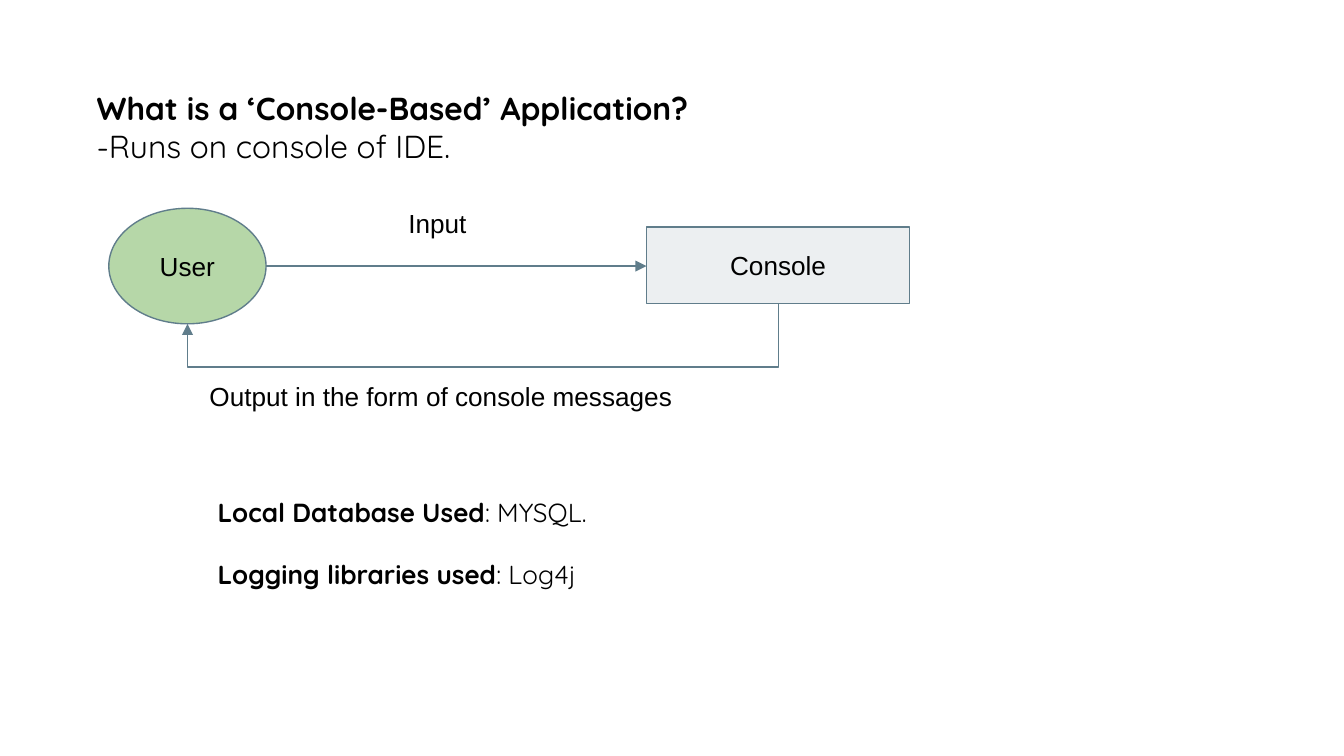
"""Build the slide on console-based applications."""
from lxml import etree
from pptx import Presentation
from pptx.dml.color import RGBColor
from pptx.enum.shapes import MSO_CONNECTOR, MSO_SHAPE
from pptx.enum.text import MSO_ANCHOR, PP_ALIGN
from pptx.oxml.ns import qn
from pptx.util import Inches, Pt

OVAL, RECT = MSO_SHAPE.OVAL, MSO_SHAPE.RECTANGLE
LINE, ELBOW = MSO_CONNECTOR.STRAIGHT, MSO_CONNECTOR.ELBOW
MIDDLE, TOP = MSO_ANCHOR.MIDDLE, MSO_ANCHOR.TOP
CENTER, LEFT = PP_ALIGN.CENTER, PP_ALIGN.LEFT

WIDE = 10
HIGH = WIDE * 9 / 16
COLORS = {"text": "000000", "edge": "607D8B", "user": "B6D7A8", "console": "ECEFF1"}
HEAD = [
    [("What is a ‘Console-Based’ Application?", True)],
    [("-Runs on console of IDE.", False)],
]
TOOLS = [
    [("Local Database Used", True), (": MYSQL.", False)],
    [("Logging libraries used", True), (": Log4j", False)],
]
TEXTS = [
    (HEAD, (0.62, 0.56, 8.52, 0.79), {"font": "Quicksand", "size": 17}),
    (TOOLS, (1.52, 3.59, 7.08, 0.91), {"font": "Quicksand", "size": 14, "gap": 16.5}),
    ([[("Input", False)]], (2.94, 1.44, 2.07, 0.44), {}),
    ([[("Output in the form of console messages", False)]], (1.46, 2.73, 4.39, 0.44), {}),
]
USER = (0.81, 1.55, 1.17, 0.86)
CONSOLE = (4.81, 1.69, 1.96, 0.57)
NODES = [("User", OVAL, USER, "user"), ("Console", RECT, CONSOLE, "console")]
TURN = 2.73


def color(name):
    return RGBColor.from_string(COLORS[name])


def write(shape, paras, font="Arial", size=14, gap=0, align=LEFT, anchor=TOP):
    frame = shape.text_frame
    frame.word_wrap = True
    frame.vertical_anchor = anchor
    frame.margin_left = frame.margin_right = Inches(0.1)
    frame.margin_top = frame.margin_bottom = Inches(0.1)
    for i, runs in enumerate(paras):
        para = frame.add_paragraph() if i else frame.paragraphs[0]
        para.alignment = align
        para.space_before = Pt(gap if i else 0)
        for text, bold in runs:
            run = para.add_run()
            run.text = text
            run.font.name, run.font.size, run.font.bold = font, Pt(size), bold
            run.font.color.rgb = color("text")


def edge(line):
    line.color.rgb = color("edge")
    line.width = Pt(0.75)


def arrow(slide, kind, *ends):
    link = slide.shapes.add_connector(kind, *map(Inches, ends))
    edge(link.line)
    props = link._element.spPr
    etree.SubElement(props.find(qn("a:ln")), qn("a:tailEnd"), type="triangle")
    etree.SubElement(props, qn("a:effectLst"))
    return link


def loop(slide, start, end, turn):
    (x1, y1), (x2, y2) = start, end
    wide, high = y2 - y1, x1 - x2
    left, top = (x1 + x2 - wide) / 2, (y1 + y2 - high) / 2
    link = arrow(slide, ELBOW, left, top, left + wide, top + high)
    props = link._element.spPr
    props.find(qn("a:xfrm")).set("rot", str(90 * 60000))
    geom = props.find(qn("a:prstGeom"))
    guides = geom.find(qn("a:avLst"))
    if guides is None:
        guides = etree.SubElement(geom, qn("a:avLst"))
    ratio = round((turn - y1) / wide * 100000)
    etree.SubElement(guides, qn("a:gd"), name="adj1", fmla=f"val {ratio}")


def main():
    deck = Presentation()
    deck.slide_width, deck.slide_height = Inches(WIDE), Inches(HIGH)
    slide = deck.slides.add_slide(deck.slide_layouts[6])

    for paras, place, style in TEXTS:
        write(slide.shapes.add_textbox(*map(Inches, place)), paras, **style)

    for name, kind, place, fill in NODES:
        node = slide.shapes.add_shape(kind, *map(Inches, place))
        node.shadow.inherit = False
        node.fill.solid()
        node.fill.fore_color.rgb = color(fill)
        edge(node.line)
        write(node, [[(name, False)]], align=CENTER, anchor=MIDDLE)

    ux, uy, uw, uh = USER
    cx, cy, cw, ch = CONSOLE
    mid = uy + uh / 2
    arrow(slide, LINE, ux + uw, mid, cx, mid)
    loop(slide, (cx + cw / 2, cy + ch), (ux + uw / 2, uy + uh), TURN)
    deck.save("out.pptx")


if __name__ == "__main__":
    main()
